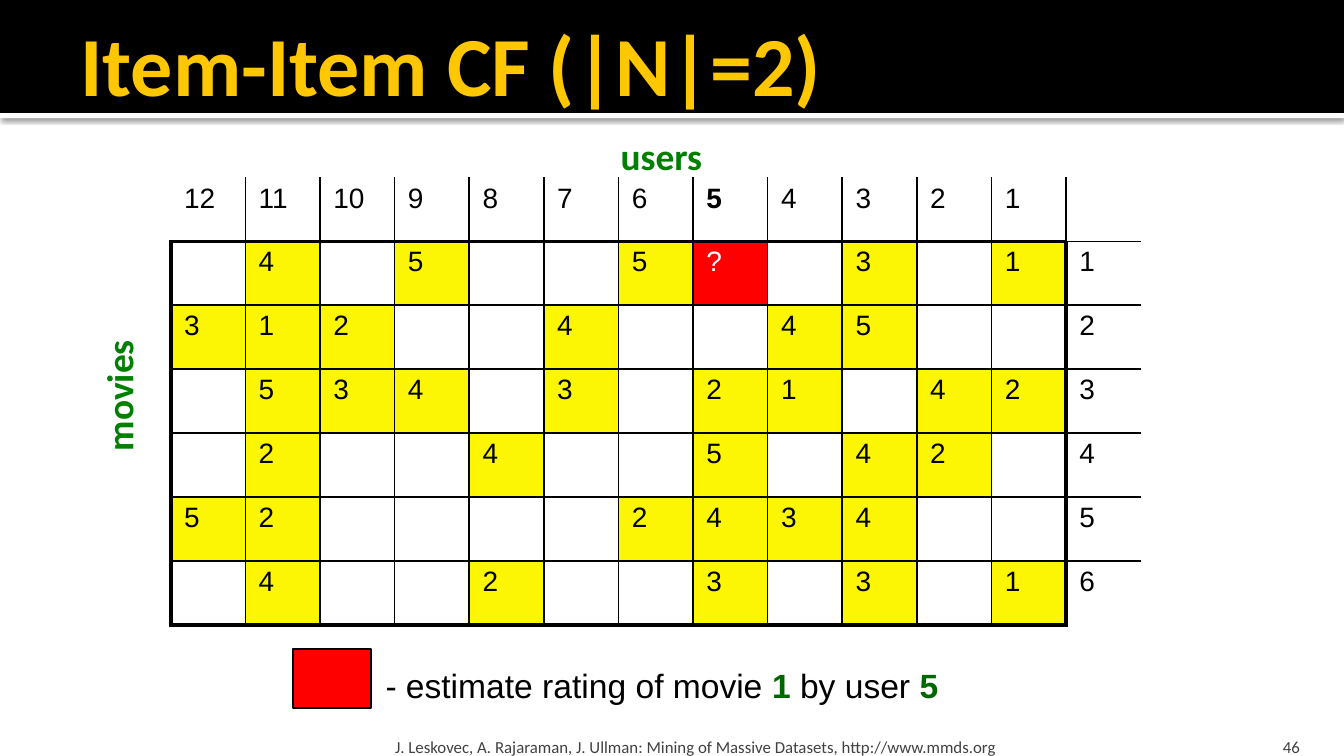
from typing import NamedTuple

import pptx
import pptx.dml.color
import pptx.enum.shapes
import pptx.enum.text
import pptx.oxml
import pptx.oxml.ns
import pptx.util
from pptx.util import Inches

ANCHOR = pptx.enum.text.MSO_ANCHOR
ALIGN = pptx.enum.text.PP_ALIGN
BLACK, WHITE, RED, YELLOW = "000000", "FFFFFF", "FF0000", "FCF604"
GREEN, DARK_GREEN, GOLD, GREY = "008000", "006600", "FFC700", "414141"
WIDTH = 10
USERS, MOVIES = 12, 6
THIN, THICK = 1, 2.25
RATINGS = [
    ".4.5..5?.3.1",
    "312..4..45..",
    ".534.3.21.42",
    ".2..4..5.42.",
    "52....2434..",
    ".4..2..3.3.1",
]


class Run(NamedTuple):
    """A piece of text with its own colour and weight."""
    text: str
    color: str = BLACK
    bold: bool = False


class Box(NamedTuple):
    """A position and size in inches."""
    x: float
    y: float
    w: float
    h: float

    def lengths(self) -> list:
        return [Inches(v) for v in self]


def rgb(color: str) -> pptx.dml.color.RGBColor:
    return pptx.dml.color.RGBColor.from_string(color)


def add_runs(p, runs: list[Run], size: float, font: str) -> None:
    for run in runs:
        r = p.add_run()
        r.text = run.text
        r.font.size = pptx.util.Pt(size)
        r.font.name = font
        r.font.bold = run.bold
        r.font.color.rgb = rgb(run.color)


def add_text(s, box: Box, *runs: Run, size: float, font: str = "Calibri",
             anchor=ANCHOR.TOP, align=ALIGN.LEFT, wrap: bool = True,
             insets: tuple = (0.1, 0.05, 0.1, 0.05), rotation: float = 0):
    sp = s.shapes.add_textbox(*box.lengths())
    sp.rotation = rotation
    tf = sp.text_frame
    tf.word_wrap = wrap
    tf.vertical_anchor = anchor
    tf.margin_left, tf.margin_top, tf.margin_right, tf.margin_bottom = map(Inches, insets)
    p = tf.paragraphs[0]
    p.alignment = align
    add_runs(p, runs, size, font)
    return sp


def add_rect(s, box: Box, fill: str, line: str | None = None):
    sp = s.shapes.add_shape(pptx.enum.shapes.MSO_SHAPE.RECTANGLE, *box.lengths())
    sp.shadow.inherit = False
    sp.fill.solid()
    sp.fill.fore_color.rgb = rgb(fill)
    if line:
        sp.line.color.rgb = rgb(line)
        sp.line.width = pptx.util.Pt(0.75)
    else:
        sp.line.fill.background()
    return sp


def add_shadow(sp) -> None:
    effects = sp._element.spPr.find(pptx.oxml.ns.qn("a:effectLst"))
    effects.append(pptx.oxml.parse_xml(
        f'<a:outerShdw {pptx.oxml.ns.nsdecls("a")} blurRad="{pptx.util.Pt(2.5)}" '
        f'dist="{pptx.util.Pt(0.8)}" dir="5400000" algn="tl" rotWithShape="0">'
        f'<a:srgbClr val="{BLACK}"><a:alpha val="60000"/></a:srgbClr></a:outerShdw>'))


def in_grid(row: int, col: int) -> bool:
    return 1 <= row <= MOVIES and 0 <= col < USERS


def border_width(row: int, col: int, next_row: int, next_col: int) -> float:
    if in_grid(row, col) != in_grid(next_row, next_col):
        return THICK
    return THIN if 0 <= next_row <= MOVIES and 0 <= next_col <= USERS else 0


def set_borders(cell, row: int, col: int) -> None:
    sides = {"L": (row, col - 1), "R": (row, col + 1),
             "T": (row - 1, col), "B": (row + 1, col)}
    tc_pr = cell._tc.get_or_add_tcPr()
    for i, (side, neighbour) in enumerate(sides.items()):
        width = border_width(row, col, *neighbour)
        paint = (f'<a:solidFill><a:srgbClr val="{BLACK}"/></a:solidFill>'
                 if width else "<a:noFill/>")
        tc_pr.insert(i, pptx.oxml.parse_xml(
            f'<a:ln{side} {pptx.oxml.ns.nsdecls("a")} w="{pptx.util.Pt(width)}">'
            f"{paint}</a:ln{side}>"))


def fill_cell(cell, text: str, row: int, col: int) -> None:
    cell.margin_left = cell.margin_right = Inches(0.1)
    cell.margin_top = cell.margin_bottom = Inches(0.04)
    unknown = text == "?"
    if text and in_grid(row, col):
        cell.fill.solid()
        cell.fill.fore_color.rgb = rgb(RED if unknown else YELLOW)
    else:
        cell.fill.background()
    if text:
        run = Run(text, WHITE if unknown else BLACK, row == 0 and text == "5")
        add_runs(cell.text_frame.paragraphs[0], [run], 15, "Arial")
    set_borders(cell, row, col)


def add_ratings(s, box: Box) -> None:
    rows = [[str(user) for user in range(USERS, 0, -1)] + [""]]
    for movie, line in enumerate(RATINGS, 1):
        rows.append([mark.strip(".") for mark in line] + [str(movie)])
    table = s.shapes.add_table(MOVIES + 1, USERS + 1, *box.lengths()).table
    table.first_row = table.horz_banding = False
    for column in table.columns:
        column.width = Inches(box.w / (USERS + 1))
    for row, texts in enumerate(rows):
        table.rows[row].height = Inches(box.h / (MOVIES + 1))
        for col, text in enumerate(texts):
            fill_cell(table.cell(row, col), text, row, col)


def main() -> None:
    """Build the item-item collaborative filtering slide."""
    prs = pptx.Presentation()
    prs.slide_width, prs.slide_height = Inches(WIDTH), Inches(WIDTH * 9 / 16)
    s = prs.slides.add_slide(prs.slide_layouts[6])

    add_shadow(add_rect(s, Box(0, 0.84, WIDTH, 0.04), WHITE))
    add_rect(s, Box(0, 0, WIDTH, 0.84), BLACK)
    add_text(s, Box(0.5, 0, 9, 0.94), Run("Item-Item CF (|N|=2)", GOLD, True),
             size=45, anchor=ANCHOR.MIDDLE, insets=(0.1, 0.05, 0.05, 0.05))

    add_ratings(s, Box(1.27, 1.32, 7.22, 3.33))
    add_text(s, Box(4.52, 0.94, 0.83, 0.33), Run("users", GREEN, True),
             size=20, wrap=False)
    add_text(s, Box(0.16, 2.52, 1.44, 0.43), Run("movies", GREEN, True),
             size=20, rotation=270)

    add_rect(s, Box(2.18, 4.83, 0.58, 0.44), RED, BLACK)
    add_text(s, Box(2.77, 4.9, 4.42, 0.3), Run("- estimate rating of movie "),
             Run("1", DARK_GREEN, True), Run(" by user "), Run("5", DARK_GREEN, True),
             size=18, font="Arial")

    add_text(s, Box(8.97, 5.4, 0.8, 0.23), Run("46", GREY), size=9,
             anchor=ANCHOR.BOTTOM, align=ALIGN.RIGHT, insets=(0.1, 0.05, 0.1, 0))
    add_text(s, Box(2.89, 5.4, 6.02, 0.23),
             Run("J. Leskovec, A. Rajaraman, J. Ullman: Mining of Massive Datasets, "
                 "http://www.mmds.org", GREY),
             size=9, anchor=ANCHOR.BOTTOM, insets=(0.05, 0.05, 0.05, 0))
    prs.save("out.pptx")


if __name__ == "__main__":
    main()
